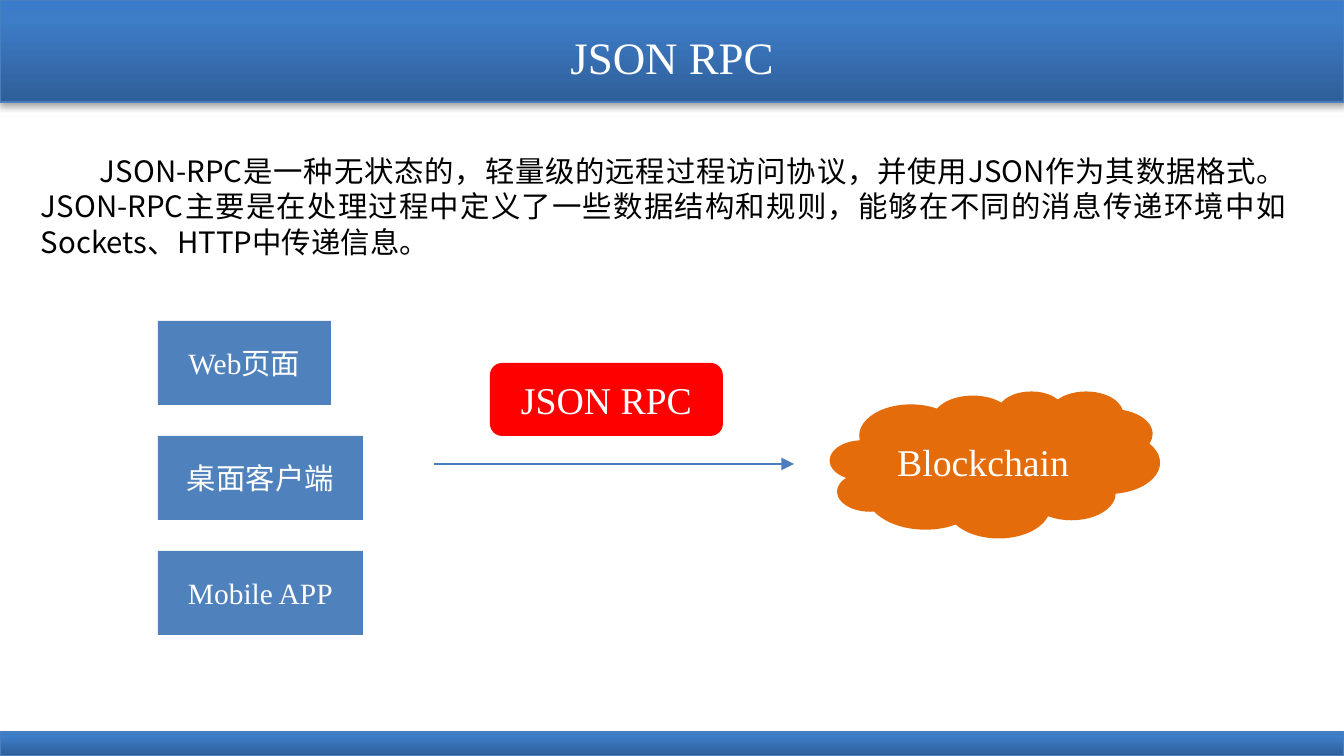
from dataclasses import dataclass

from pptx import Presentation
from pptx.dml.color import RGBColor
from pptx.enum.shapes import MSO_CONNECTOR, MSO_SHAPE
from pptx.enum.text import MSO_ANCHOR, PP_ALIGN
from pptx.oxml import parse_xml
from pptx.oxml.ns import nsdecls, qn
from pptx.util import Emu, Inches, Pt

WIDTH, HEIGHT = 1344, 756
SCALE = Inches(1) / 151.2


def px(length):
    return Emu(round(length * SCALE))


@dataclass(frozen=True)
class Theme:
    serif: str = "Times New Roman"
    sans: str = "Noto Sans CJK SC"
    white: str = "FFFFFF"
    black: str = "000000"
    client: str = "4F81BD"
    rule: str = "4B7EBC"
    protocol: str = "FF0000"
    chain: str = "E46C0A"
    band: tuple = ((0, "2F5F99"), (80, "3D7CC7"), (100, "3A7CCB"))
    title_size: float = 21.4
    label_size: float = 18
    text_size: float = 14
    text_leading: float = 17
    rule_width: float = 0.75


def write(frame, text, *, size, color, font, align=PP_ALIGN.CENTER,
          anchor=MSO_ANCHOR.MIDDLE, indent=0, leading=None):
    frame.word_wrap = True
    frame.vertical_anchor = anchor
    paragraph = frame.paragraphs[0]
    paragraph.alignment = align
    if indent:
        paragraph._p.get_or_add_pPr().set("indent", str(px(indent)))
    if leading:
        paragraph.line_spacing = Pt(leading)
    run = paragraph.add_run()
    run.text = text
    run.font.size = Pt(size)
    run.font.color.rgb = RGBColor.from_string(color)
    run.font.name = font
    run._r.get_or_add_rPr().append(
        parse_xml(f'<a:ea {nsdecls("a")} typeface="Noto Sans CJK SC"/>'))


class SlideBuilder:
    def __init__(self, slide, theme):
        self.slide = slide
        self.theme = theme

    def shape(self, preset, left, top, width, height):
        shape = self.slide.shapes.add_shape(
            preset, px(left), px(top), px(width), px(height))
        shape.shadow.inherit = False
        return shape

    def band(self, top, height):
        """Add a full-width gradient bar with a soft shadow below it."""
        bar = self.shape(MSO_SHAPE.RECTANGLE, 0, top, WIDTH, height)
        bar.fill.gradient()
        bar.fill.gradient_angle = 90
        stops = "".join(
            f'<a:gs pos="{percent * 1000}"><a:srgbClr val="{color}"/></a:gs>'
            for percent, color in self.theme.band)
        properties = bar._element.spPr
        gradient = properties.find(qn("a:gradFill"))
        gradient.replace(
            gradient.find(qn("a:gsLst")),
            parse_xml(f'<a:gsLst {nsdecls("a")}>{stops}</a:gsLst>'))
        properties.find(qn("a:effectLst")).append(parse_xml(
            f'<a:outerShdw {nsdecls("a")} blurRad="{Pt(3.1)}" dist="{Pt(1.8)}" '
            f'dir="5400000" rotWithShape="0"><a:srgbClr val="{self.theme.black}">'
            '<a:alpha val="35000"/></a:srgbClr></a:outerShdw>'))
        self.outline(bar.line)

    def outline(self, line):
        line.color.rgb = RGBColor.from_string(self.theme.rule)
        line.width = Pt(self.theme.rule_width)

    def title(self, text, left, top, width, height):
        title = self.slide.shapes.title
        title.left, title.top = px(left), px(top)
        title.width, title.height = px(width), px(height)
        write(title.text_frame, text, size=self.theme.title_size,
              color=self.theme.white, font=self.theme.serif)
        # Bring the title in front of the bands.
        self.slide.shapes._spTree.append(title._element)

    def paragraph(self, text, left, top, width, height, indent):
        box = self.slide.shapes.add_textbox(
            px(left), px(top), px(width), px(height))
        write(box.text_frame, text, size=self.theme.text_size,
              color=self.theme.black, font=self.theme.sans,
              align=PP_ALIGN.JUSTIFY, anchor=MSO_ANCHOR.TOP,
              indent=indent, leading=self.theme.text_leading)

    def node(self, text, preset, left, top, width, height, fill, size):
        node = self.shape(preset, left, top, width, height)
        node.fill.solid()
        node.fill.fore_color.rgb = RGBColor.from_string(fill)
        node.line.fill.background()
        write(node.text_frame, text, size=size,
              color=self.theme.white, font=self.theme.serif)

    def arrow(self, start, end, y):
        arrow = self.slide.shapes.add_connector(
            MSO_CONNECTOR.STRAIGHT, px(start), px(y), px(end), px(y))
        self.outline(arrow.line)
        arrow.line._get_or_add_ln().append(
            parse_xml(f'<a:tailEnd {nsdecls("a")} type="triangle"/>'))
        arrow._element.spPr.append(
            parse_xml(f'<a:effectLst {nsdecls("a")}/>'))


def main():
    deck = Presentation()
    deck.slide_width, deck.slide_height = px(WIDTH), px(HEIGHT)
    theme = Theme()
    builder = SlideBuilder(deck.slides.add_slide(deck.slide_layouts[5]), theme)

    builder.band(0, 102)
    builder.band(732, 24)
    builder.title("JSON RPC", 0, 20, WIDTH, 73)
    builder.paragraph(
        "JSON-RPC是一种无状态的，轻量级的远程过程访问协议，并使用JSON作为其数据格式。"
        "JSON-RPC主要是在处理过程中定义了一些数据结构和规则，"
        "能够在不同的消息传递环境中如Sockets、HTTP中传递信息。",
        26, 145, 1275, 122, indent=59)

    clients = (("Web页面", 173), ("桌面客户端", 205), ("Mobile APP", 205))
    for row, (client, width) in enumerate(clients):
        builder.node(client, MSO_SHAPE.RECTANGLE, 158, 321 + row * 115,
                     width, 84, theme.client, theme.text_size)
    builder.node("Blockchain", MSO_SHAPE.CLOUD, 830, 391, 330, 147,
                 theme.chain, theme.label_size)
    builder.arrow(434, 794, 464)
    builder.node("JSON RPC", MSO_SHAPE.ROUNDED_RECTANGLE, 490, 363, 233, 73,
                 theme.protocol, theme.label_size)
    deck.save("out.pptx")


if __name__ == "__main__":
    main()
